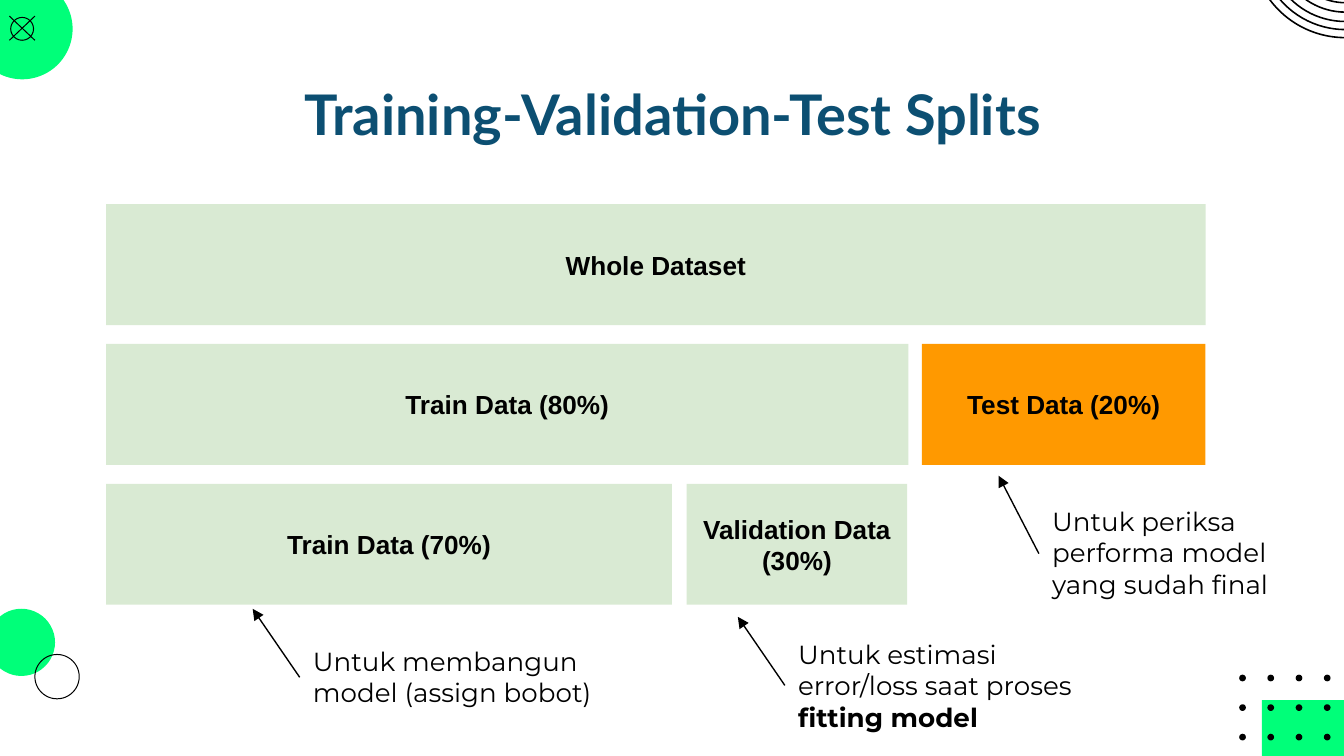
from itertools import product
from typing import NamedTuple, Optional

from lxml.etree import SubElement
from pptx import Presentation
from pptx.dml.color import RGBColor
from pptx.enum.shapes import MSO_CONNECTOR as Connector, MSO_SHAPE as Preset
from pptx.enum.text import MSO_ANCHOR as Anchor, MSO_AUTO_SIZE as AutoSize, PP_ALIGN as Align
from pptx.oxml.ns import qn
from pptx.util import Pt

PX = 9144  # EMU in one px, 100 px to the inch
SLIDE_WIDTH = 1000 * PX
SLIDE_HEIGHT = SLIDE_WIDTH * 9 // 16

BLACK = RGBColor(0x00, 0x00, 0x00)
NAVY = RGBColor(0x0C, 0x4F, 0x72)
BRIGHT_GREEN = RGBColor(0x00, 0xFF, 0x79)
PALE_GREEN = RGBColor(0xD9, 0xEA, 0xD3)
ORANGE = RGBColor(0xFF, 0x99, 0x00)


class Box(NamedTuple):
    left: int
    top: int
    width: int
    height: int

    def emu(self) -> list[int]:
        return [value * PX for value in self]


class Block(NamedTuple):
    row: int
    left: int
    right: int
    text: str
    fill: RGBColor = PALE_GREEN


class Note(NamedTuple):
    box: Box
    text: str
    bold_text: str
    arrow: tuple[int, int, int, int]  # from x, y to x, y


BLOCK_TOP, BLOCK_HEIGHT, ROW_STEP = 152, 90, 104
BLOCKS = [
    Block(0, 79, 897, "Whole Dataset"),
    Block(1, 79, 676, "Train Data (80%)"),
    Block(1, 686, 897, "Test Data (20%)", ORANGE),
    Block(2, 79, 500, "Train Data (70%)"),
    Block(2, 511, 675, "Validation Data (30%)"),
]
NOTES = [
    Note(Box(584, 465, 227, 91), "Untuk estimasi error/loss saat proses ", "fitting model",
         (584, 510, 549, 459)),
    Note(Box(773, 366, 227, 91), "Untuk periksa performa model yang sudah final", "",
         (773, 412, 743, 354)),
    Note(Box(223, 470, 277, 67), "Untuk membangun model (assign bobot)", "",
         (223, 504, 188, 453)),
]


def format_frame(shape, anchor: Anchor = Anchor.TOP) -> None:
    frame = shape.text_frame
    frame.word_wrap = True
    frame.auto_size = AutoSize.NONE
    frame.vertical_anchor = anchor
    frame.margin_left = frame.margin_right = 10 * PX
    frame.margin_top = frame.margin_bottom = 10 * PX


def add_text(paragraph, text: str, *, font: str, size: int = 14, color: RGBColor = BLACK,
             bold: bool = False, align: Align = Align.LEFT) -> None:
    paragraph.alignment = align
    run = paragraph.add_run()
    run.text = text
    run.font.name = font
    run.font.size = Pt(size)
    run.font.bold = bold
    run.font.color.rgb = color


def add_preset(slide, preset: Preset, box: Box, *, fill: Optional[RGBColor] = None,
               line_width: float = 0):
    shape = slide.shapes.add_shape(preset, *box.emu())
    shape.shadow.inherit = False
    if fill is None:
        shape.fill.background()
    else:
        shape.fill.solid()
        shape.fill.fore_color.rgb = fill
    if line_width:
        shape.line.color.rgb = BLACK
        shape.line.width = Pt(line_width)
    else:
        shape.line.fill.background()
    return shape


def add_line(slide, ends: tuple[int, int, int, int], width: float, arrow: bool = False) -> None:
    connector = slide.shapes.add_connector(Connector.STRAIGHT, *(value * PX for value in ends))
    connector.line.color.rgb = BLACK
    connector.line.width = Pt(width)
    if arrow:
        line = connector._element.spPr.find(qn("a:ln"))
        SubElement(line, qn("a:tailEnd"), type="triangle")
    SubElement(connector._element.spPr, qn("a:effectLst"))


def draw_decoration(slide) -> None:
    # Dot grid over a green rectangle, bottom right
    add_preset(slide, Preset.RECTANGLE, Box(939, 521, 146, 85), fill=BRIGHT_GREEN)
    for row, column in product(range(3), range(4)):
        dot = Box(922 + 21 * column, 502 + 22 * row, 5, 5)
        add_preset(slide, Preset.OVAL, dot, fill=BLACK)

    # Crossed circle on a green disc, top left
    add_preset(slide, Preset.OVAL, Box(-21, -16, 75, 75), fill=BRIGHT_GREEN)
    add_preset(slide, Preset.OVAL, Box(8, 13, 17, 17), line_width=0.54)
    add_line(slide, (7, 12, 26, 30), 0.54)
    add_line(slide, (7, 30, 26, 12), 0.54)

    # Disc and ring, bottom left
    add_preset(slide, Preset.OVAL, Box(-9, 453, 50, 50), fill=BRIGHT_GREEN)
    add_preset(slide, Preset.OVAL, Box(26, 487, 33, 33), line_width=0.54)

    # Concentric rings, top right
    for radius in (44, 51, 58, 64, 70):
        ring = Box(1001 - radius, -42 - radius, 2 * radius, 2 * radius)
        add_preset(slide, Preset.OVAL, ring, line_width=0.85)


def draw_title(slide, text: str) -> None:
    title = slide.shapes.title
    title.left, title.top, title.width, title.height = Box(79, 49, 843, 71).emu()
    format_frame(title)
    add_text(title.text_frame.paragraphs[0], text, font="Lato", size=30, color=NAVY,
             bold=True, align=Align.CENTER)


def draw_block(slide, block: Block) -> None:
    box = Box(block.left, BLOCK_TOP + block.row * ROW_STEP,
              block.right - block.left, BLOCK_HEIGHT)
    shape = add_preset(slide, Preset.RECTANGLE, box, fill=block.fill)
    format_frame(shape, Anchor.MIDDLE)
    add_text(shape.text_frame.paragraphs[0], block.text, font="Arial", bold=True,
             align=Align.CENTER)


def draw_note(slide, note: Note) -> None:
    text_box = slide.shapes.add_textbox(*note.box.emu())
    format_frame(text_box)
    paragraph = text_box.text_frame.paragraphs[0]
    add_text(paragraph, note.text, font="Montserrat")
    if note.bold_text:
        add_text(paragraph, note.bold_text, font="Montserrat", bold=True)
    add_line(slide, note.arrow, 0.75, arrow=True)


def main() -> None:
    presentation = Presentation()
    presentation.slide_width, presentation.slide_height = SLIDE_WIDTH, SLIDE_HEIGHT
    slide = presentation.slides.add_slide(presentation.slide_layouts[5])  # title only

    draw_decoration(slide)
    draw_title(slide, "Training-Validation-Test Splits")
    for block in BLOCKS:
        draw_block(slide, block)
    for note in NOTES:
        draw_note(slide, note)

    presentation.save("out.pptx")


if __name__ == "__main__":
    main()
